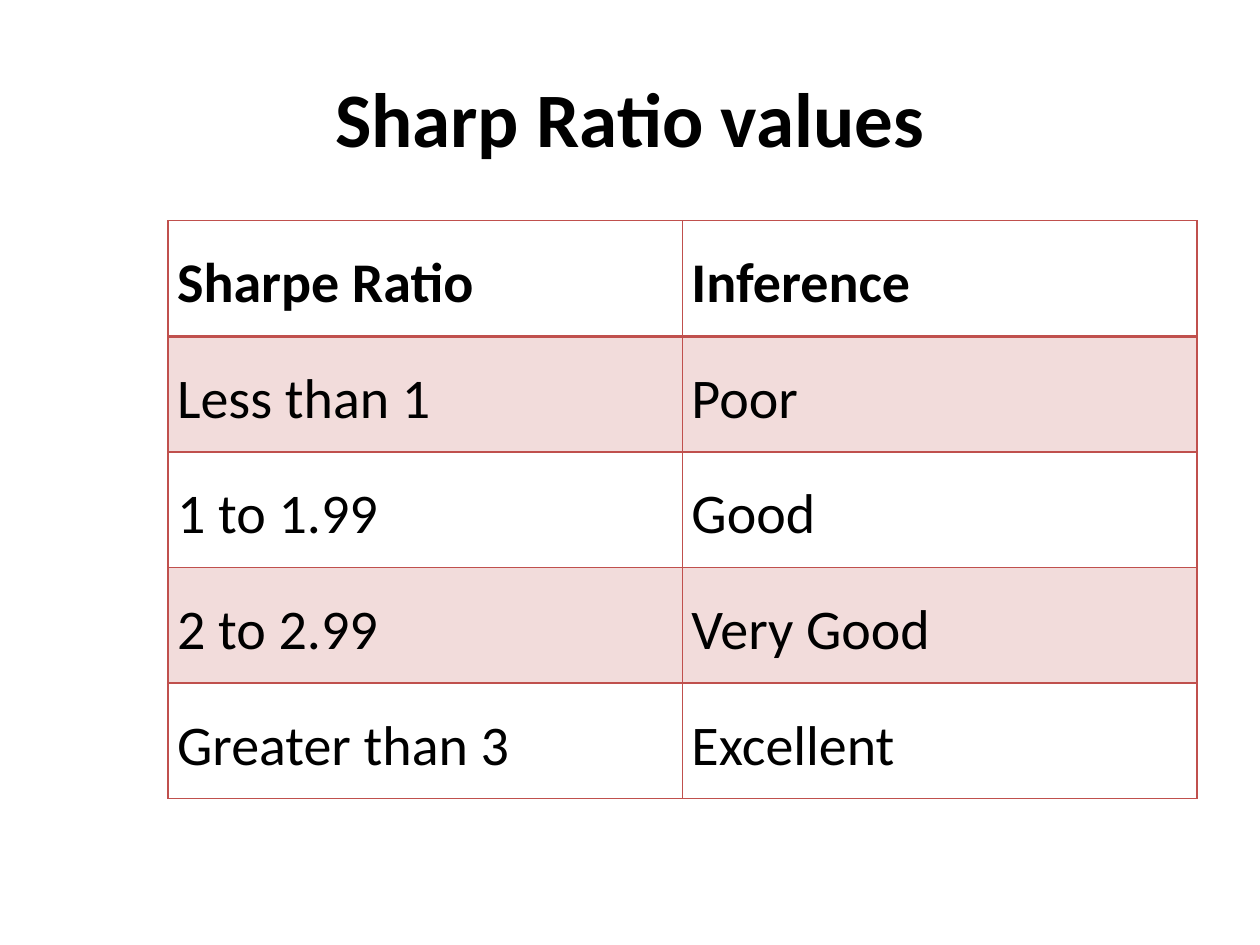
from dataclasses import dataclass

from lxml import etree
from pptx import Presentation
from pptx import util as u
from pptx.dml.color import RGBColor
from pptx.enum import text
from pptx.oxml.ns import qn


@dataclass(frozen=True)
class Theme:
    font: str = "Calibri"
    ink: str = "000000"
    accent: str = "C0504D"
    band_alpha: int = 20
    title_size: int = 44
    table_size: int = 32


theme = Theme()


def format_paragraph(paragraph, size, bold, **layout):
    for name, value in layout.items():
        setattr(paragraph, name, value)
    font_format = {"name": theme.font, "size": u.Pt(size), "bold": bold}
    for run in paragraph.runs:
        for name, value in font_format.items():
            setattr(run.font, name, value)
        run.font.color.rgb = RGBColor.from_string(theme.ink)


def add_border(cell, side, width):
    line = etree.SubElement(cell._tc.get_or_add_tcPr(), qn(f"a:ln{side}"), w=str(u.Pt(width)))
    fill = etree.SubElement(line, qn("a:solidFill"))
    etree.SubElement(fill, qn("a:srgbClr"), val=theme.accent)


presentation = Presentation()
presentation.slide_width = u.Cm(25.4)
presentation.slide_height = u.Cm(19.05)
slide = presentation.slides.add_slide(presentation.slide_layouts[5])

# Title
title = slide.shapes.title
title_box = {"left": 1.27, "top": 0.76, "width": 22.86, "height": 3.18}
for name, value in title_box.items():
    setattr(title, name, u.Cm(value))
title.text_frame.text = "Sharp Ratio values"
title.text_frame.vertical_anchor = text.MSO_ANCHOR.MIDDLE
format_paragraph(title.text_frame.paragraphs[0], theme.title_size, True,
                 alignment=text.PP_ALIGN.CENTER)

# Table
ratings = [
    ("Sharpe Ratio", "Inference"),
    ("Less than 1", "Poor"),
    ("1 to 1.99", "Good"),
    ("2 to 2.99", "Very Good"),
    ("Greater than 3", "Excellent"),
]
table = slide.shapes.add_table(len(ratings), 2, u.Cm(3.39), u.Cm(4.45),
                               u.Cm(20.74), u.Cm(11.65)).table

cell_format = {
    "vertical_anchor": text.MSO_ANCHOR.MIDDLE,
    "margin_left": u.Cm(0.18),
    "margin_right": u.Cm(0.18),
    "margin_top": u.Cm(0.18),
    "margin_bottom": u.Cm(0.18),
}
for row_index, row in enumerate(ratings):
    is_header = row_index == 0
    # The rule below the header is twice as thick as the others
    border_widths = {"L": 1, "R": 1, "T": 2 if row_index == 1 else 1, "B": 2 if is_header else 1}
    for column_index, wording in enumerate(row):
        cell = table.cell(row_index, column_index)
        cell.text = wording
        for name, value in cell_format.items():
            setattr(cell, name, value)
        format_paragraph(cell.text_frame.paragraphs[0], theme.table_size, is_header,
                         line_spacing=1.15, space_after=u.Pt(6))
        for side, width in border_widths.items():
            add_border(cell, side, width)

        # Every other row has a translucent band
        if row_index % 2:
            cell.fill.solid()
            cell.fill.fore_color.rgb = RGBColor.from_string(theme.accent)
            color = cell._tc.tcPr.find(qn("a:solidFill")).find(qn("a:srgbClr"))
            etree.SubElement(color, qn("a:alpha"), val=str(theme.band_alpha * 1000))
        else:
            cell.fill.background()

presentation.save("out.pptx")
